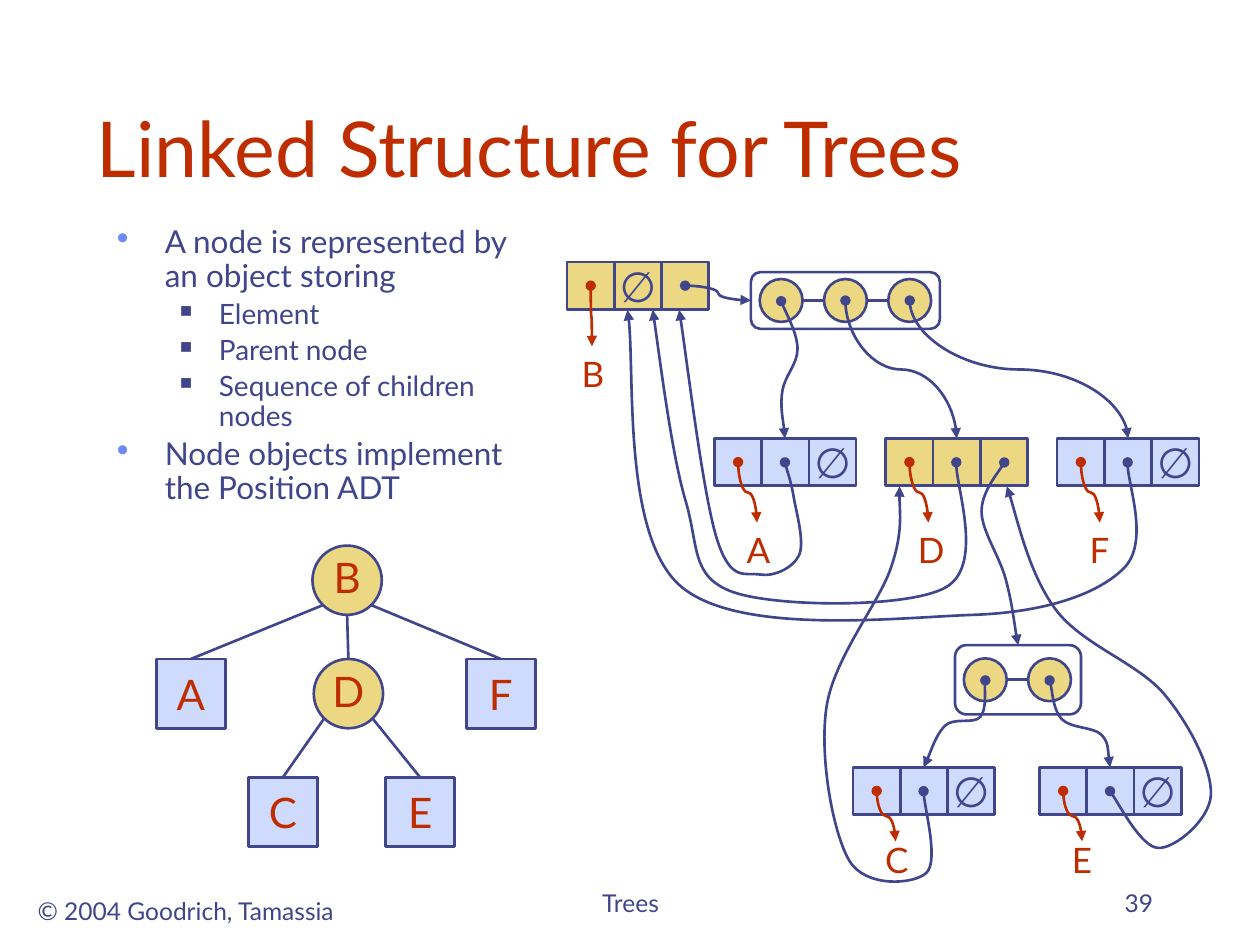
from lxml import etree
from pptx import Presentation
from pptx.dml.color import RGBColor
from pptx.enum.shapes import MSO_CONNECTOR, MSO_SHAPE
from pptx.enum.text import MSO_ANCHOR, PP_ALIGN
from pptx.oxml.ns import qn
from pptx.util import Inches, Pt

RECT, OVAL, ROUNDED = MSO_SHAPE.RECTANGLE, MSO_SHAPE.OVAL, MSO_SHAPE.ROUNDED_RECTANGLE
STRAIGHT, CURVE = MSO_CONNECTOR.STRAIGHT, MSO_CONNECTOR.CURVE
LEFT, CENTER, RIGHT = PP_ALIGN.LEFT, PP_ALIGN.CENTER, PP_ALIGN.RIGHT
TOP, MIDDLE, BOTTOM = MSO_ANCHOR.TOP, MSO_ANCHOR.MIDDLE, MSO_ANCHOR.BOTTOM
FONT, INK, RED = "Lato", "40458C", "BE2D00"
GOLD, PALE, BULLET = "ECD882", "CFDBFD", "6F89F7"
CELL, RING, RING_STEP, RING_INSET, NODE = 0.375, 0.34, 0.51, 0.07, 0.55
LABEL_WIDTH, LABEL_HEIGHT = 0.36, 0.43
ELEMENT, PARENT, CHILDREN = 0, 1, 2
UNIT = 0.01

TEXTS = (
    ("© 2004 Goodrich, Tamassia", (0.17, 7.06, 2.61, 0.33), 14, INK, CENTER, TOP, False),
    ("Trees", (3.42, 6.83, 3.17, 0.5), 14, INK, CENTER, BOTTOM, True),
    ("39", (7.17, 6.83, 2.08, 0.5), 14, INK, RIGHT, BOTTOM, True),
    ("Linked Structure for Trees", (0.67, 0.33, 8.5, 1.25), 44, RED, LEFT, BOTTOM, True),
)
LEVELS = (
    {"size": 18, "indent": (0.38, -0.38), "mark": "•", "color": BULLET, "percent": 110},
    {"size": 16, "indent": (0.81, -0.31), "mark": "■", "color": INK, "percent": 60},
)
POINTS = (
    (0, "A node is represented by an object storing"),
    (1, "Element"),
    (1, "Parent node"),
    (1, "Sequence of children nodes"),
    (0, "Node objects implement the Position ADT"),
)
# letter: kind, left, top, parent, share of the parent's width where the edge ends
TREE = {
    "B": (OVAL, 2.48, 4.33, None, 0),
    "D": (OVAL, 2.49, 5.23, "B", 0.5),
    "A": (RECT, 1.24, 5.23, "B", 0.15),
    "F": (RECT, 3.7, 5.23, "B", 0.85),
    "C": (RECT, 1.97, 6.17, "D", 0.15),
    "E": (RECT, 3.06, 6.17, "D", 0.85),
}
# letter: left, top, fill, empty cell, element arrow's run, label's lift
RECORDS = {
    "B": (4.5, 2.08, GOLD, PARENT, (0.01, 0.48), 0),
    "A": (5.67, 3.48, PALE, CHILDREN, (0.15, 0.48), 0),
    "D": (7.03, 3.48, GOLD, None, (0.15, 0.48), 0),
    "F": (8.39, 3.48, PALE, CHILDREN, (0.15, 0.48), 0),
    "C": (6.77, 6.09, PALE, CHILDREN, (0.15, 0.4), 0.07),
    "E": (8.25, 6.09, PALE, CHILDREN, (0.15, 0.4), 0.07),
}
# owner: frame, children in order
SEQUENCES = {"B": ((5.96, 2.16, 1.5, 0.45), "ADF"), "D": ((7.58, 5.12, 1, 0.55), "CE")}
# child: parent, share of the parent's width where the arrow ends, bends
PARENT_ARROWS = {
    "A": ("B", 0.79, [(6.3, 3.95), (6.34, 4.41), (6.03, 4.56), (5.69, 4.28)]),
    "D": ("B", 0.6, [(7.51, 4.66), (5.82, 4.7), (5.44, 3.97)]),
    "F": ("B", 0.43, [(8.92, 4.51), (7.72, 4.88), (5.4, 4.65)]),
    "C": ("D", 0.1, [(7.35, 6.93), (6.74, 6.83), (6.56, 5.61), (7.07, 4.51)]),
    "E": ("D", 0.85, [(9.19, 6.73), (9.61, 6.31), (9.24, 5.51), (8.38, 4.84)]),
}
CHILD_BENDS = {
    "A": [(6.33, 2.77), (6.21, 3.1)],
    "C": [(7.78, 5.69), (7.5, 5.76)],
    "E": [(8.43, 5.71), (8.74, 5.83)],
}
SEQUENCE_BENDS = [(7.79, 4.06), (7.98, 4.59)]


def rgb(value):
    """Turn a hex string into a colour."""
    return RGBColor.from_string(value)


def sub(parent, tag, **attributes):
    """Append a DrawingML element with the given attributes."""
    return etree.SubElement(parent, qn(tag), {key: str(v) for key, v in attributes.items()})


def style_run(paragraph, words, size, color):
    """Add a run in the slide's font."""
    run = paragraph.add_run()
    run.text = words
    for key, value in {"name": FONT, "size": Pt(size)}.items():
        setattr(run.font, key, value)
    run.font.color.rgb = rgb(color)


def write(shape, words, size, color, align=CENTER, anchor=MIDDLE, wrap=False, **margins):
    """Set one line of text in a shape."""
    frame = shape.text_frame
    for key, value in {"word_wrap": wrap, "vertical_anchor": anchor, **margins}.items():
        setattr(frame, key, value)
    frame.paragraphs[0].alignment = align
    style_run(frame.paragraphs[0], words, size, color)


def add_text(slide, words, box, *layout):
    """Place a text box holding one line."""
    write(slide.shapes.add_textbox(*map(Inches, box)), words, *layout)


def outline(item, color=INK, arrow=False):
    """Draw an outline without shadow, with a dot and an arrowhead on request."""
    item.line.color.rgb = rgb(color)
    item.line.width = Pt(1.5)
    properties = item._element.spPr
    if arrow:
        line = properties.find(qn("a:ln"))
        sub(line, "a:headEnd", type="oval")
        sub(line, "a:tailEnd", type="triangle")
    if properties.find(qn("a:effectLst")) is None:
        sub(properties, "a:effectLst")


def add_shape(slide, kind, box, fill=None):
    """Place an outlined preset shape."""
    shape = slide.shapes.add_shape(kind, *map(Inches, box))
    shape.shadow.inherit = False
    if fill:
        shape.fill.solid()
        shape.fill.fore_color.rgb = rgb(fill)
    else:
        shape.fill.background()
    outline(shape)
    return shape


def add_line(slide, start, end, kind=STRAIGHT, color=INK, arrow=False):
    """Place a connector between two points."""
    line = slide.shapes.add_connector(kind, *map(Inches, (*start, *end)))
    outline(line, color, arrow)
    return line


def add_drop(slide, start, end, color=INK):
    """Place a curved arrow that leaves and arrives vertically."""
    (x1, y1), (x2, y2) = start, end
    middle_x, middle_y = (x1 + x2) / 2, (y1 + y2) / 2
    half_w, half_h = (y2 - y1) / 2, (x2 - x1) / 2
    line = add_line(slide, (middle_x - half_w, middle_y - half_h),
                    (middle_x + half_w, middle_y + half_h), CURVE, color, True)
    turn = line._element.spPr.find(qn("a:xfrm"))
    turn.set("rot", str(270 * 60000))
    turn.set("flipH", "1")


def add_pointer(slide, *stops):
    """Place an arrow that runs smoothly through its stops, as a Catmull-Rom spline."""
    grid = [(round(x / UNIT), round(y / UNIT)) for x, y in stops]
    left, top = map(min, zip(*grid))
    builder = slide.shapes.build_freeform(*grid[0], scale=Inches(UNIT))
    builder.add_line_segments(grid[1:], close=False)
    pointer = builder.convert_to_shape()
    padded = [grid[0], *grid, grid[-1]]
    spans = zip(padded, padded[1:], padded[2:], padded[3:])
    for segment, (before, start, end, after) in zip(list(pointer._element.iter(qn("a:lnTo"))), spans):
        leave = [s + (e - b) / 6 for b, s, e in zip(before, start, end)]
        arrive = [e - (a - s) / 6 for s, e, a in zip(start, end, after)]
        bezier = etree.Element(qn("a:cubicBezTo"))
        for x, y in (leave, arrive, end):
            sub(bezier, "a:pt", x=round(x - left), y=round(y - top))
        segment.getparent().replace(segment, bezier)
    pointer.shadow.inherit = False
    pointer.fill.background()
    outline(pointer, arrow=True)


def cell_dot(letter, column):
    """Return the centre of a record's cell."""
    x, y = RECORDS[letter][:2]
    return x + (column + 0.5) * CELL, y + CELL / 2


def record_edge(letter, share, row):
    """Return a point on a record's top (row 0) or bottom (row 1) edge."""
    x, y = RECORDS[letter][:2]
    return x + share * 3 * CELL, y + row * CELL


def ring_center(frame, index):
    """Return the centre of a ring in a sequence frame."""
    x, y, _, height = frame
    return x + RING_INSET + RING / 2 + index * RING_STEP, y + height / 2


def add_points(slide, box):
    """Place the two-level bullet list."""
    frame = slide.shapes.add_textbox(*map(Inches, box)).text_frame
    frame.word_wrap = True
    for index, (depth, words) in enumerate(POINTS):
        paragraph = frame.add_paragraph() if index else frame.paragraphs[0]
        level = LEVELS[depth]
        paragraph.level = depth
        paragraph.line_spacing = 0.9
        properties = paragraph._p.get_or_add_pPr()
        for key, length in zip(("marL", "indent"), level["indent"]):
            properties.set(key, str(Inches(length)))
        sub(sub(properties, "a:spcBef"), "a:spcPct", val=20000)
        sub(sub(properties, "a:buClr"), "a:srgbClr", val=level["color"])
        sub(properties, "a:buSzPct", val=level["percent"] * 1000)
        sub(properties, "a:buChar", char=level["mark"])
        style_run(paragraph, words, level["size"], INK)


def add_tree(slide):
    """Place the abstract tree, each child joined to its parent."""
    for letter, (kind, x, y, parent, share) in TREE.items():
        inner = kind == OVAL
        node = add_shape(slide, kind, (x, y, NODE, NODE), GOLD if inner else PALE)
        margins = {"margin_left": 0, "margin_right": 0, "margin_top": 0} if inner else {}
        write(node, letter, 24, RED, **margins)
        if parent:
            _, parent_x, parent_y, *_ = TREE[parent]
            depth = 1 if share == 0.5 else 0.86
            end = (parent_x + share * NODE, parent_y + depth * NODE)
            add_line(slide, (x + NODE / 2, y), end).begin_connect(node, 0)


def add_record(slide, letter, x, y, fill, empty, run, lift):
    """Place a three-cell node object with its element below."""
    for column in (ELEMENT, CHILDREN, PARENT):
        cell = add_shape(slide, RECT, (x + column * CELL, y, CELL, CELL), fill)
        if column == empty:
            write(cell, "∅", 24, INK)
    dot = cell_dot(letter, ELEMENT)
    tip_x, tip_y = (start + step for start, step in zip(dot, run))
    add_drop(slide, dot, (tip_x, tip_y), RED)
    label = (tip_x - LABEL_WIDTH / 2, tip_y - lift, LABEL_WIDTH, LABEL_HEIGHT)
    add_text(slide, letter, label, 20, RED, CENTER, TOP)


def add_sequence(slide, frame, children):
    """Place a rounded frame with a ring for each child, and the arrows to the children."""
    add_shape(slide, ROUNDED, frame)
    centers = [ring_center(frame, index) for index in range(len(children))]
    for (x1, y1), (x2, y2) in zip(centers, centers[1:]):
        add_line(slide, (x1 + RING / 2, y1), (x2 - RING / 2, y2))
    for x, y in centers:
        add_shape(slide, OVAL, (x - RING / 2, y - RING / 2, RING, RING), GOLD)
    for child, center in zip(children, centers):
        target = record_edge(child, 0.5, 0)
        if child in CHILD_BENDS:
            add_pointer(slide, center, *CHILD_BENDS[child], target)
        else:
            add_drop(slide, center, target)


def add_sequence_arrows(slide):
    """Point from the children cells of B and D to their sequences."""
    x, y, _, height = SEQUENCES["B"][0]
    add_line(slide, cell_dot("B", CHILDREN), (x, y + height / 2), CURVE, arrow=True)
    x, y, width, _ = SEQUENCES["D"][0]
    add_pointer(slide, cell_dot("D", CHILDREN), *SEQUENCE_BENDS, (x + width / 2, y))


def main():
    """Build the slide and save it."""
    deck = Presentation()
    deck.slide_width, deck.slide_height = Inches(10), Inches(7.5)
    slide = deck.slides.add_slide(deck.slide_layouts[6])
    for text in TEXTS:
        add_text(slide, *text)
    add_points(slide, (0.83, 1.75, 3.5, 2.33))
    add_tree(slide)
    for letter, record in RECORDS.items():
        add_record(slide, letter, *record)
    for frame, children in SEQUENCES.values():
        add_sequence(slide, frame, children)
    add_sequence_arrows(slide)
    for child, (parent, share, bends) in PARENT_ARROWS.items():
        add_pointer(slide, cell_dot(child, PARENT), *bends, record_edge(parent, share, 1))
    deck.save("out.pptx")


if __name__ == "__main__":
    main()
